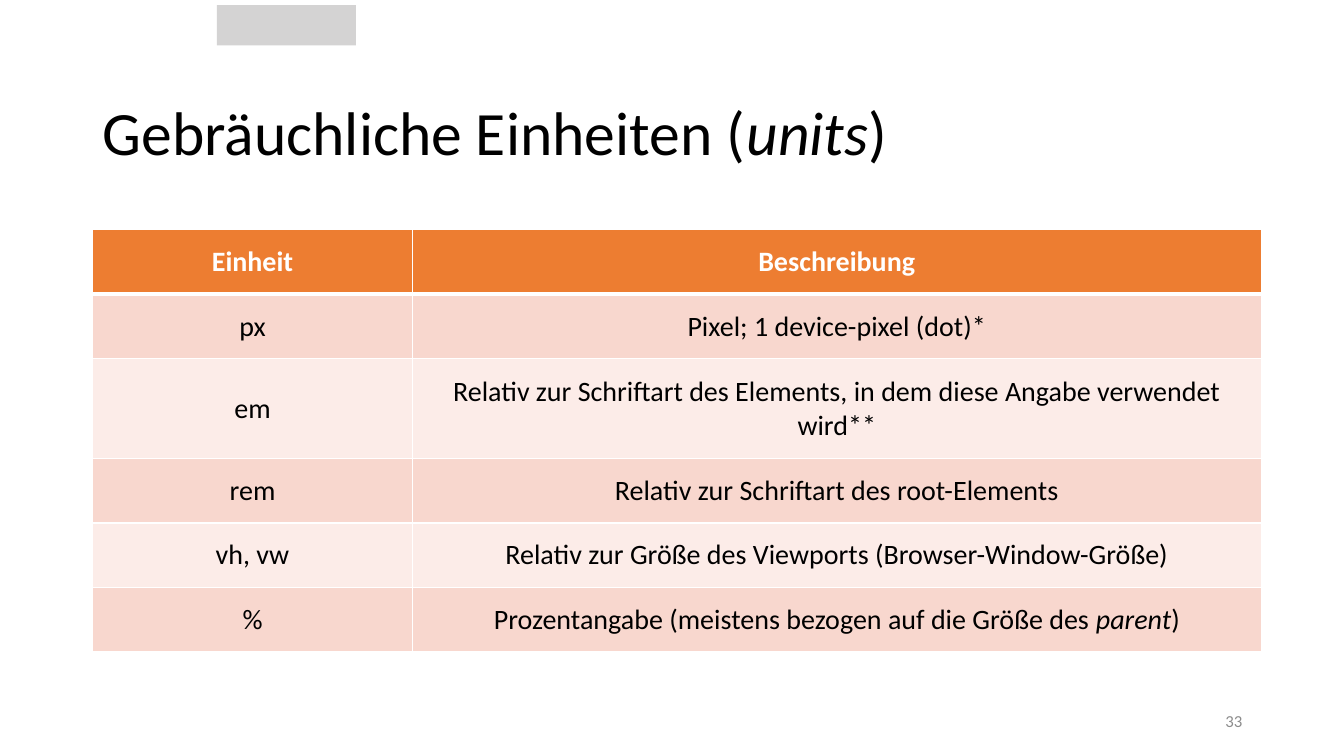
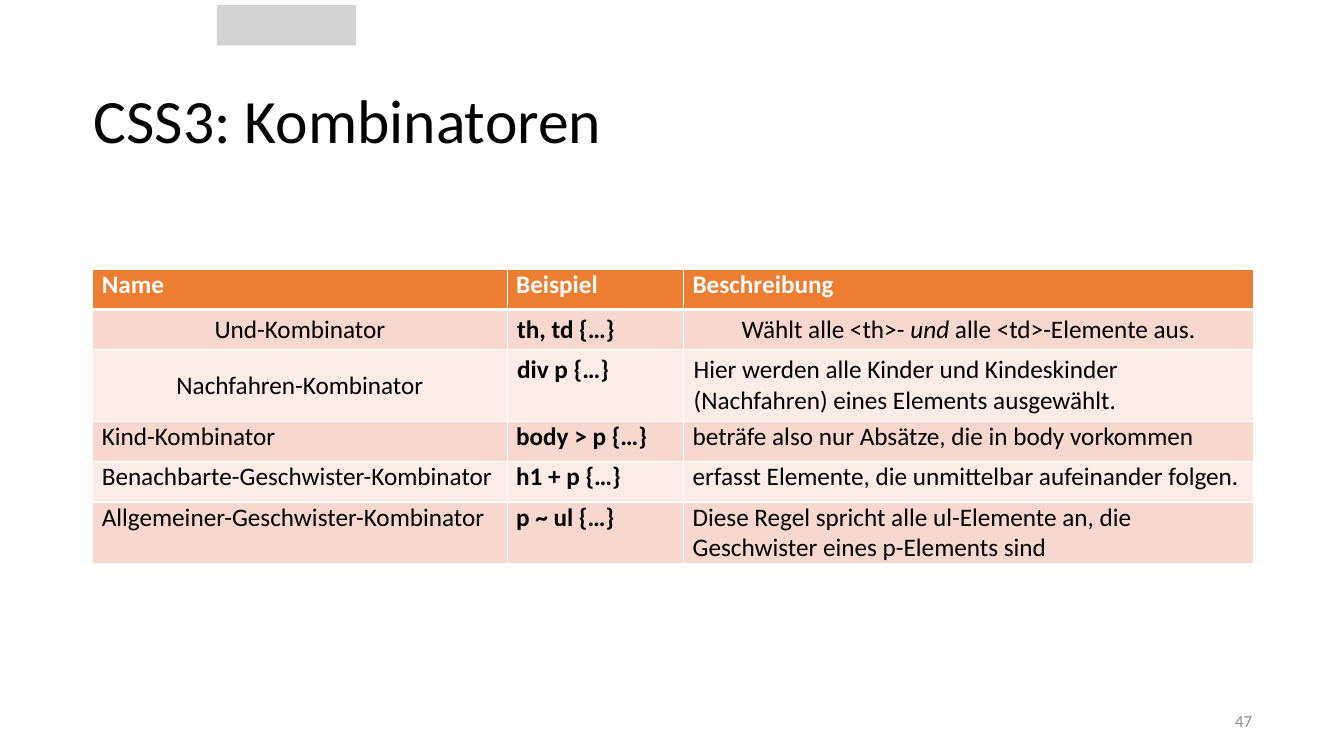
from dataclasses import dataclass, replace

import lxml.etree
import pptx
import pptx.dml.color
import pptx.enum.shapes
import pptx.enum.text
import pptx.oxml.ns
import pptx.util

EMU_PER_PX = 9144
ANCHOR = pptx.enum.text.MSO_ANCHOR
ALIGN = pptx.enum.text.PP_ALIGN
qn = pptx.oxml.ns.qn


@dataclass(frozen=True)
class Theme:
    font: str = "Calibri"
    ink: str = "000000"
    white: str = "FFFFFF"
    band: str = "D4D3D3"
    header: str = "ED7D31"
    odd_row: str = "F8D7CE"
    even_row: str = "FCECE8"
    number: str = "8C8C8C"
    title_size: int = 44
    number_size: int = 12
    rule: int = 1
    header_rule: int = 3


THEME = Theme()


@dataclass(frozen=True)
class Insets:
    left: int = 10
    top: int = 5
    right: int = 10
    bottom: int = 5


@dataclass(frozen=True)
class Style:
    size: int
    colour: str = THEME.ink
    bold: bool = False
    align: ALIGN = ALIGN.LEFT
    anchor: ANCHOR = ANCHOR.MIDDLE
    insets: Insets = Insets()
    line_spacing: float = 1.0


@dataclass(frozen=True)
class Cell:
    text: str
    style: Style


@dataclass(frozen=True)
class Grid:
    left: int
    top: int
    columns: list[int]
    heights: list[int]
    rows: list[list[Cell]]


@dataclass(frozen=True)
class Page:
    title: str
    title_insets: Insets
    title_spacing: float
    number: str
    number_insets: Insets
    grid: Grid


def px(length: int) -> pptx.util.Emu:
    return pptx.util.Emu(length * EMU_PER_PX)


def rgb(colour: str) -> pptx.dml.color.RGBColor:
    return pptx.dml.color.RGBColor.from_string(colour)


def set_margins(target, insets: Insets) -> None:
    target.margin_left = px(insets.left)
    target.margin_top = px(insets.top)
    target.margin_right = px(insets.right)
    target.margin_bottom = px(insets.bottom)


def write(frame, text: str, style: Style) -> None:
    """Text between underscores is set in italics."""
    frame.word_wrap = True
    para = frame.paragraphs[0]
    para.alignment = style.align
    para.line_spacing = style.line_spacing
    para.font.name = THEME.font
    para.font.size = pptx.util.Pt(style.size)
    para.font.bold = style.bold
    para.font.color.rgb = rgb(style.colour)
    for index, part in enumerate(text.split("_")):
        span = para.add_run()
        span.text = part
        if index % 2:
            span.font.italic = True


def add_text(slide, left: int, top: int, width: int, height: int, text: str, style: Style) -> None:
    box = slide.shapes.add_textbox(px(left), px(top), px(width), px(height))
    frame = box.text_frame
    set_margins(frame, style.insets)
    frame.vertical_anchor = style.anchor
    write(frame, text, style)


def add_band(slide) -> None:
    band = slide.shapes.add_shape(
        pptx.enum.shapes.MSO_SHAPE.RECTANGLE, px(215), px(5), px(138), px(40)
    )
    band.shadow.inherit = False
    band.fill.solid()
    band.fill.fore_color.rgb = rgb(THEME.band)
    band.line.fill.background()


def add_borders(cell, top: int, bottom: int) -> None:
    properties = cell._tc.get_or_add_tcPr()
    sides = {"lnL": THEME.rule, "lnR": THEME.rule, "lnT": top, "lnB": bottom}
    for side, points in sides.items():
        line = lxml.etree.SubElement(properties, qn(f"a:{side}"), w=str(pptx.util.Pt(points)))
        fill = lxml.etree.SubElement(line, qn("a:solidFill"))
        lxml.etree.SubElement(fill, qn("a:srgbClr"), val=THEME.white)


def add_grid(slide, grid: Grid) -> None:
    table = slide.shapes.add_table(
        len(grid.rows), len(grid.columns), px(grid.left), px(grid.top),
        px(sum(grid.columns)), px(sum(grid.heights)),
    ).table
    table.horz_banding = False
    for column, width in zip(table.columns, grid.columns):
        column.width = px(width)
    for row, height in zip(table.rows, grid.heights):
        row.height = px(height)
    for row_index, row in enumerate(grid.rows):
        if row_index == 0:
            colour = THEME.header
        else:
            colour = THEME.odd_row if row_index % 2 else THEME.even_row
        top = THEME.header_rule if row_index == 1 else THEME.rule
        bottom = THEME.header_rule if row_index == 0 else THEME.rule
        for column_index, entry in enumerate(row):
            cell = table.cell(row_index, column_index)
            add_borders(cell, top, bottom)
            cell.fill.solid()
            cell.fill.fore_color.rgb = rgb(colour)
            set_margins(cell, entry.style.insets)
            cell.vertical_anchor = entry.style.anchor
            write(cell.text_frame, entry.text, entry.style)


def add_page(deck, page: Page) -> None:
    slide = deck.slides.add_slide(deck.slide_layouts[6])
    add_band(slide)
    title = Style(THEME.title_size, insets=page.title_insets, line_spacing=page.title_spacing)
    add_text(slide, 92, 50, 1150, 135, page.title, title)
    add_grid(slide, page.grid)
    number = Style(
        THEME.number_size, THEME.number, align=ALIGN.RIGHT, insets=page.number_insets
    )
    add_text(slide, 942, 695, 300, 40, page.number, number)


def units_page() -> Page:
    body = Style(20, align=ALIGN.CENTER, insets=Insets(10, 12, 10, 12))
    header = replace(body, colour=THEME.white, bold=True)
    units = [
        ("px", "Pixel; 1 device-pixel (dot)*"),
        ("em", "Relativ zur Schriftart des Elements, in dem diese Angabe verwendet wird**"),
        ("rem", "Relativ zur Schriftart des root-Elements"),
        ("vh, vw", "Relativ zur Größe des Viewports (Browser-Window-Größe)"),
        ("%", "Prozentangabe (meistens bezogen auf die Größe des _parent_)"),
    ]
    rows = [[Cell("Einheit", header), Cell("Beschreibung", header)]]
    rows += [[Cell(text, body) for text in unit] for unit in units]
    grid = Grid(92, 228, [317, 842], [64, 64, 99, 64, 64, 64], rows)
    return Page(
        "Gebräuchliche Einheiten (_units_)", Insets(10, 39, 10, 5), 0.9, "33", Insets(), grid
    )


def combinators_page() -> Page:
    flush = Style(18, anchor=ANCHOR.TOP, insets=Insets(9, 0, 0, 0))
    flush_code = replace(flush, bold=True)
    header = replace(flush_code, colour=THEME.white)
    padded = Style(18)
    centred = replace(padded, align=ALIGN.CENTER)
    code = replace(padded, bold=True)
    flush_row = (flush, flush_code, flush)
    combinators = [
        (("Name", "Beispiel", "Beschreibung"), (header, header, header)),
        (
            ("Und-Kombinator", "th, td {…}", "Wählt alle <th>- _und_ alle <td>-Elemente aus."),
            (centred, code, centred),
        ),
        (
            (
                "Nachfahren-Kombinator",
                "div p {…}",
                "Hier werden alle Kinder und Kindeskinder (Nachfahren) eines Elements ausgewählt.",
            ),
            (centred, replace(code, anchor=ANCHOR.TOP), padded),
        ),
        (
            ("Kind-Kombinator", "body > p {…}", "beträfe also nur Absätze, die in body vorkommen"),
            flush_row,
        ),
        (
            (
                "Benachbarte-Geschwister-Kombinator",
                "h1 + p {…}",
                "erfasst Elemente, die unmittelbar aufeinander folgen.",
            ),
            flush_row,
        ),
        (
            (
                "Allgemeiner-Geschwister-Kombinator",
                "p ~ ul {…}",
                "Diese Regel spricht alle ul-Elemente an, die Geschwister eines p-Elements sind",
            ),
            flush_row,
        ),
    ]
    rows = [
        [Cell(text, style) for text, style in zip(texts, styles)]
        for texts, styles in combinators
    ]
    grid = Grid(92, 267, [411, 175, 565], [40, 40, 71, 40, 40, 61], rows)
    none = Insets(0, 0, 0, 0)
    return Page("CSS3: Kombinatoren", replace(none, left=1), 1.0, "47", none, grid)


def main() -> None:
    deck = pptx.Presentation()
    deck.slide_width = px(1333)
    deck.slide_height = px(750)
    for page in (units_page(), combinators_page()):
        add_page(deck, page)
    deck.save("out.pptx")


if __name__ == "__main__":
    main()
